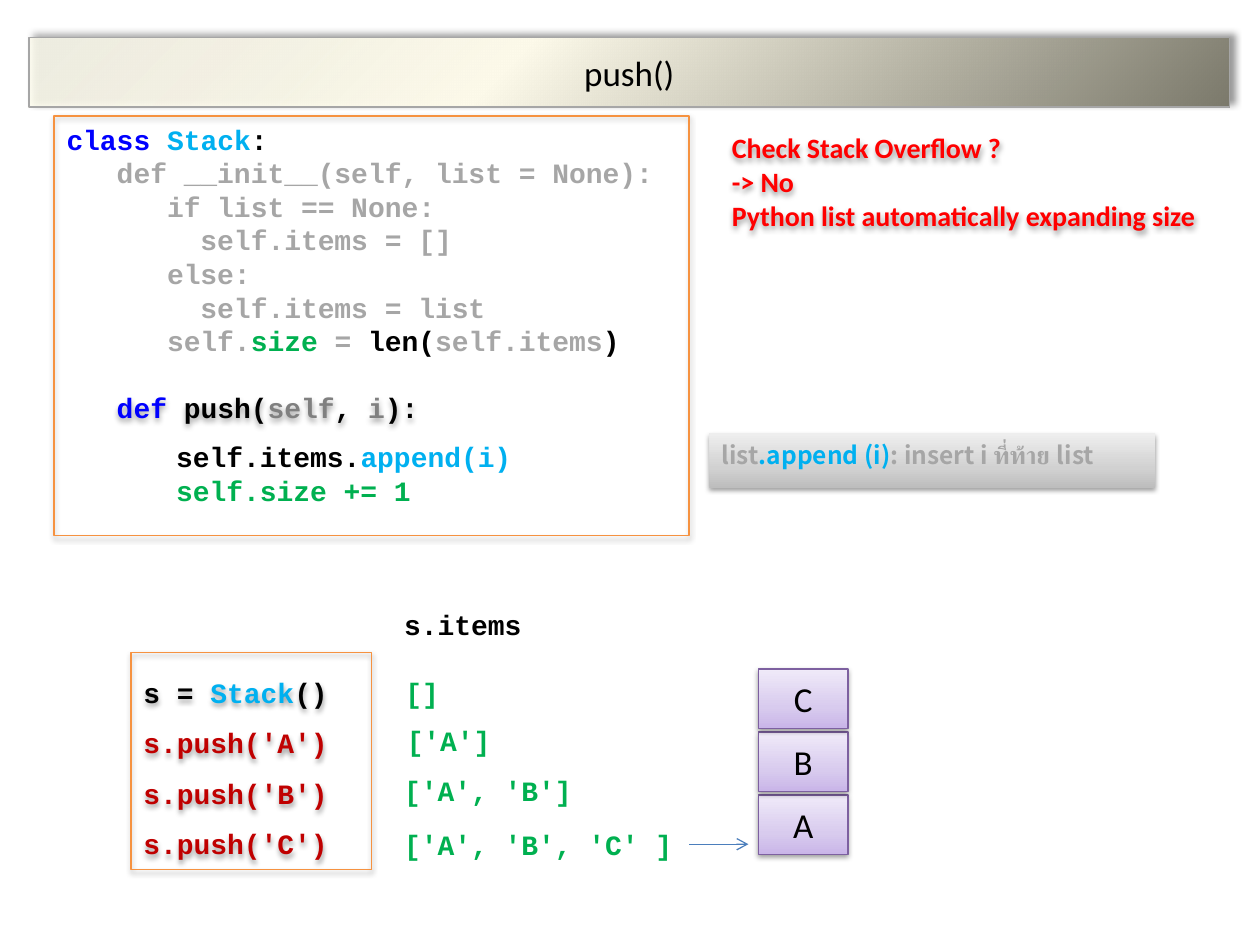
import pptx
import pptx.dml.color
import pptx.enum.shapes
import pptx.enum.text
import pptx.oxml
import pptx.oxml.ns
import pptx.util
from lxml import etree

Inches = pptx.util.Inches
Pt = pptx.util.Pt
RGB = pptx.dml.color.RGBColor
ANCHOR = pptx.enum.text.MSO_ANCHOR
ALIGN = pptx.enum.text.PP_ALIGN
qn = pptx.oxml.ns.qn

BLACK = RGB(0x00, 0x00, 0x00)
BLUE = RGB(0x00, 0x00, 0xFF)
SKY = RGB(0x00, 0xB0, 0xF0)
GREEN = RGB(0x00, 0xB0, 0x50)
CRIMSON = RGB(0xC0, 0x00, 0x00)
RED = RGB(0xFF, 0x00, 0x00)
GRAY = RGB(0x80, 0x80, 0x80)
SILVER = RGB(0xA6, 0xA6, 0xA6)
ORANGE = RGB(0xF6, 0x92, 0x40)
PURPLE = RGB(0x7D, 0x60, 0xA0)
ARROW = RGB(0x4B, 0x7E, 0xBC)

# Gradient stops: position, colour, opacity (percent)
TITLE_STOPS = [(0, RGB(0xFE, 0xFC, 0xEE), 79), (40, RGB(0xFD, 0xFA, 0xEA), 100),
               (100, RGB(0x7B, 0x79, 0x6B), 100)]
CELL_STOPS = [(0, RGB(0xC9, 0xB5, 0xE8), 100), (35, RGB(0xD8, 0xCB, 0xEE), 100),
              (100, RGB(0xF0, 0xEA, 0xF9), 100)]
NOTE_STOPS = [(0, RGB(0xBD, 0xBD, 0xBD), 100), (35, RGB(0xD1, 0xD1, 0xD1), 100),
              (100, RGB(0xEE, 0xEE, 0xEE), 100)]

CODE = {"name": "Courier New", "size": Pt(16), "bold": True}
LABEL = {"name": "Calibri", "size": Pt(20), "bold": False}
REMARK = {"name": "Calibri", "size": Pt(16), "bold": True}
NOTE = {"name": "Noto Sans CJK JP", "size": Pt(14), "bold": True}


class SlideBuilder:
    """Holds the current slide and draws each kind of element on it."""

    def __init__(self, slide):
        self.s = slide

    def set_text(self, sp, lines, font, anchor=ANCHOR.TOP, wrap=True, **para):
        """Fill a shape with lines, each a list of (text, colour) runs."""
        tf = sp.text_frame
        tf.word_wrap = wrap
        tf.vertical_anchor = anchor
        for i, runs in enumerate(lines):
            p = tf.paragraphs[0] if i == 0 else tf.add_paragraph()
            for key, value in {"alignment": ALIGN.LEFT, **para}.items():
                setattr(p, key, value)
            for text, color in runs:
                r = p.add_run()
                r.text = text
                for key, value in font.items():
                    setattr(r.font, key, value)
                r.font.color.rgb = color

    def shadow(self, sp, alpha=38, blur=3.1, dist=1.6, angle=90):
        sp.shadow.inherit = False
        effects = sp._element.spPr.find(qn("a:effectLst"))
        outer = etree.SubElement(effects, qn("a:outerShdw"), blurRad=str(Pt(blur)),
                                 dist=str(Pt(dist)), dir=str(angle * 60000), rotWithShape="0")
        color = etree.SubElement(outer, qn("a:srgbClr"), val=str(BLACK))
        etree.SubElement(color, qn("a:alpha"), val=str(alpha * 1000))

    def paint(self, sp, stops, angle, line):
        if stops:
            sp.fill.gradient()
            sp.fill.gradient_angle = 360 - angle
            stop_list = sp._element.spPr.find(".//" + qn("a:gsLst"))
            for old in list(stop_list):
                stop_list.remove(old)
            for pos, rgb, opacity in stops:
                gs = etree.SubElement(stop_list, qn("a:gs"), pos=str(pos * 1000))
                color = etree.SubElement(gs, qn("a:srgbClr"), val=str(rgb))
                if opacity < 100:
                    etree.SubElement(color, qn("a:alpha"), val=str(opacity * 1000))
        else:
            sp.fill.background()
        if line is None:
            sp.line.fill.background()
        else:
            sp.line.color.rgb = line
            sp.line.width = Pt(0.75)

    def title(self, text, left, top, width, height):
        sp = self.s.shapes.title
        sp.left, sp.top, sp.width, sp.height = map(Inches, (left, top, width, height))
        self.paint(sp, TITLE_STOPS, 45, SILVER)
        self.shadow(sp, 40, 4, 3, 315)
        self.set_text(sp, [[(text, BLACK)]], LABEL, ANCHOR.MIDDLE, alignment=ALIGN.CENTER)

    def box(self, left, top, width, height, lines, font, stops=None, line=None, **text):
        sp = self.s.shapes.add_shape(pptx.enum.shapes.MSO_SHAPE.RECTANGLE,
                                     *map(Inches, (left, top, width, height)))
        self.paint(sp, stops, 270, line)
        self.shadow(sp)
        self.set_text(sp, lines, font, **text)
        return sp

    def text(self, left, top, width, height, lines, font=CODE, wrap=False):
        sp = self.s.shapes.add_textbox(*map(Inches, (left, top, width, height)))
        self.set_text(sp, lines, font, wrap=wrap)
        return sp

    def arrow(self, x1, y1, x2, y2):
        sp = self.s.shapes.add_connector(pptx.enum.shapes.MSO_CONNECTOR.STRAIGHT,
                                         *map(Inches, (x1, y1, x2, y2)))
        sp.line.color.rgb = ARROW
        sp.line.width = Pt(0.75)
        props = sp._element.spPr
        etree.SubElement(props.find(qn("a:ln")), qn("a:tailEnd"), type="arrow")
        etree.SubElement(props, qn("a:effectLst"))


def main():
    prs = pptx.Presentation()
    prs.slide_width, prs.slide_height = Inches(10), Inches(7.5)
    b = SlideBuilder(prs.slides.add_slide(prs.slide_layouts[5]))

    b.title("push()", 0.23, 0.3, 9.53, 0.55)

    # Class definition: the frame carries the push() header below the constructor
    push_header = [("   def ", BLUE), ("push(", BLACK), ("self", GRAY), (", ", BLACK),
                   ("i", GRAY), ("):", BLACK)]
    frame = b.box(0.43, 0.92, 5.04, 3.33, [push_header], CODE, line=ORANGE)
    frame.text_frame.margin_top = Inches(2.18)
    b.text(0.43, 0.92, 5.04, 1.99, [
        [("class ", BLUE), ("Stack", SKY), (":", BLACK)],
        [("   def __init__(self, list = None):", SILVER)],
        [("      if list == None:", SILVER)],
        [("        self.items = []", SILVER)],
        [("      else:", SILVER)],
        [("        self.items = list", SILVER)],
        [("      self.", SILVER), ("size", GREEN), (" = ", SILVER), ("len(", BLACK),
         ("self.items", SILVER), (")", BLACK)],
    ], wrap=True)
    b.text(1.3, 3.44, 2.9, 0.64, [
        [("self.items.", BLACK), ("append(i)", SKY)],
        [("self.size += 1", GREEN)],
    ])

    # Remarks beside the class
    remark = b.text(5.71, 0.99, 4.09, 0.91, [[(t, RED)] for t in (
        "Check Stack Overflow ?", "-> No", "Python list automatically expanding size")],
        REMARK, wrap=True)
    b.shadow(remark)
    b.box(5.63, 3.44, 3.54, 0.43, [[("list", SILVER), (".append (i)", SKY),
                                    (": insert i ที่ท้าย list", SILVER)]], NOTE, NOTE_STOPS)

    # Calls and the list contents after each one
    calls = [[("s = ", BLACK), ("Stack", SKY), ("()", BLACK)]]
    calls += [[(f"s.push('{item}')", CRIMSON)] for item in "ABC"]
    b.box(1.04, 5.18, 1.91, 1.72, calls, CODE, line=ORANGE, line_spacing=1.5)
    b.text(3.11, 4.77, 1.15, 0.37, [[("s.items", BLACK)]])
    for left, top, width, contents in (
            (3.12, 5.31, 0.47, "[]"), (3.13, 5.69, 0.88, "['A']"),
            (3.11, 6.09, 1.55, "['A', 'B']"), (3.11, 6.52, 2.36, "['A', 'B', 'C' ]")):
        b.text(left, top, width, 0.37, [[(contents, GREEN)]])

    # Resulting stack, bottom cell first
    for i, item in enumerate("ABC"):
        b.box(6.02, 6.31 - 0.5 * i, 0.71, 0.47, [[(item, BLACK)]], LABEL, CELL_STOPS,
              PURPLE, anchor=ANCHOR.MIDDLE, alignment=ALIGN.CENTER)
    b.arrow(5.47, 6.7, 5.94, 6.7)

    prs.save("out.pptx")


if __name__ == "__main__":
    main()
